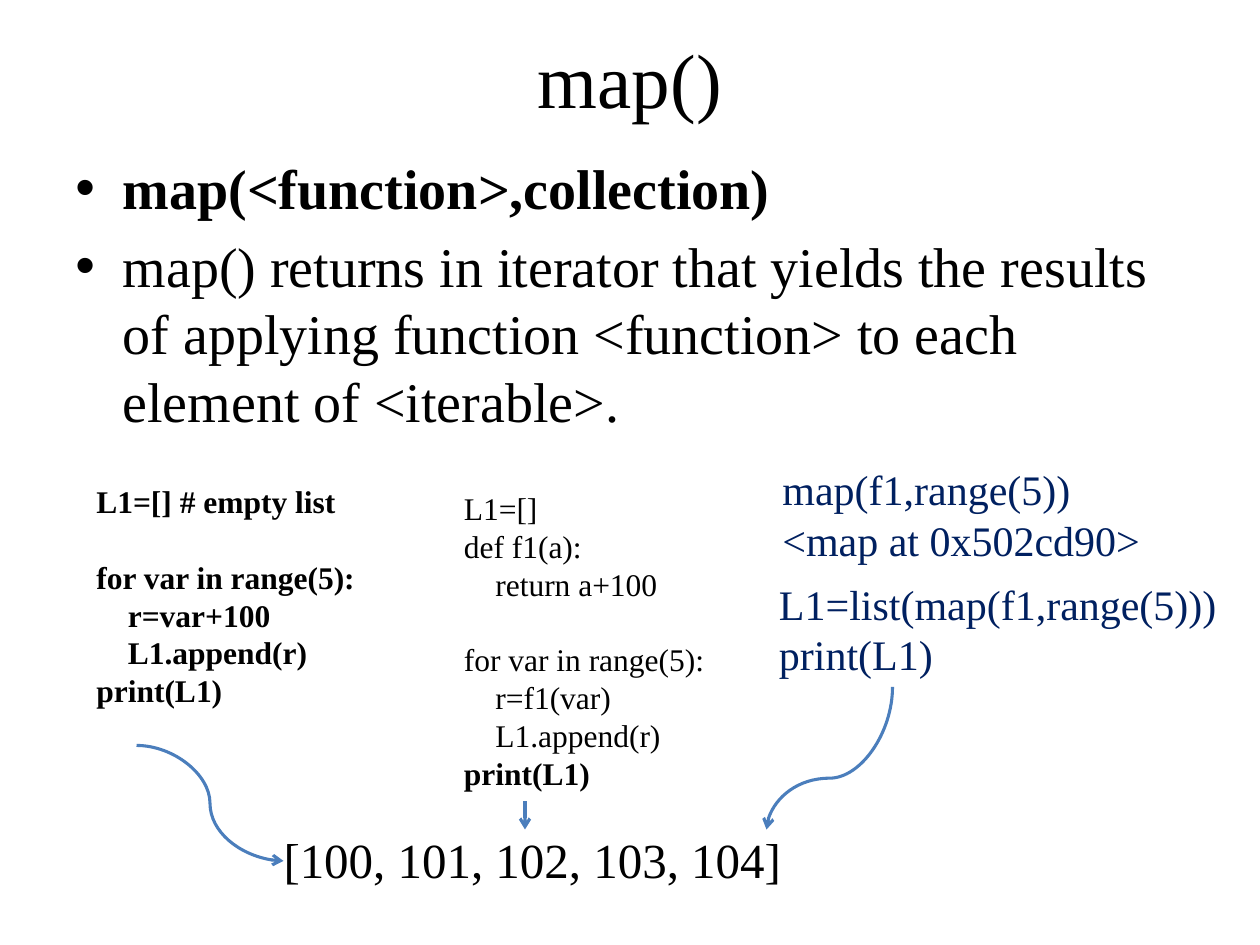
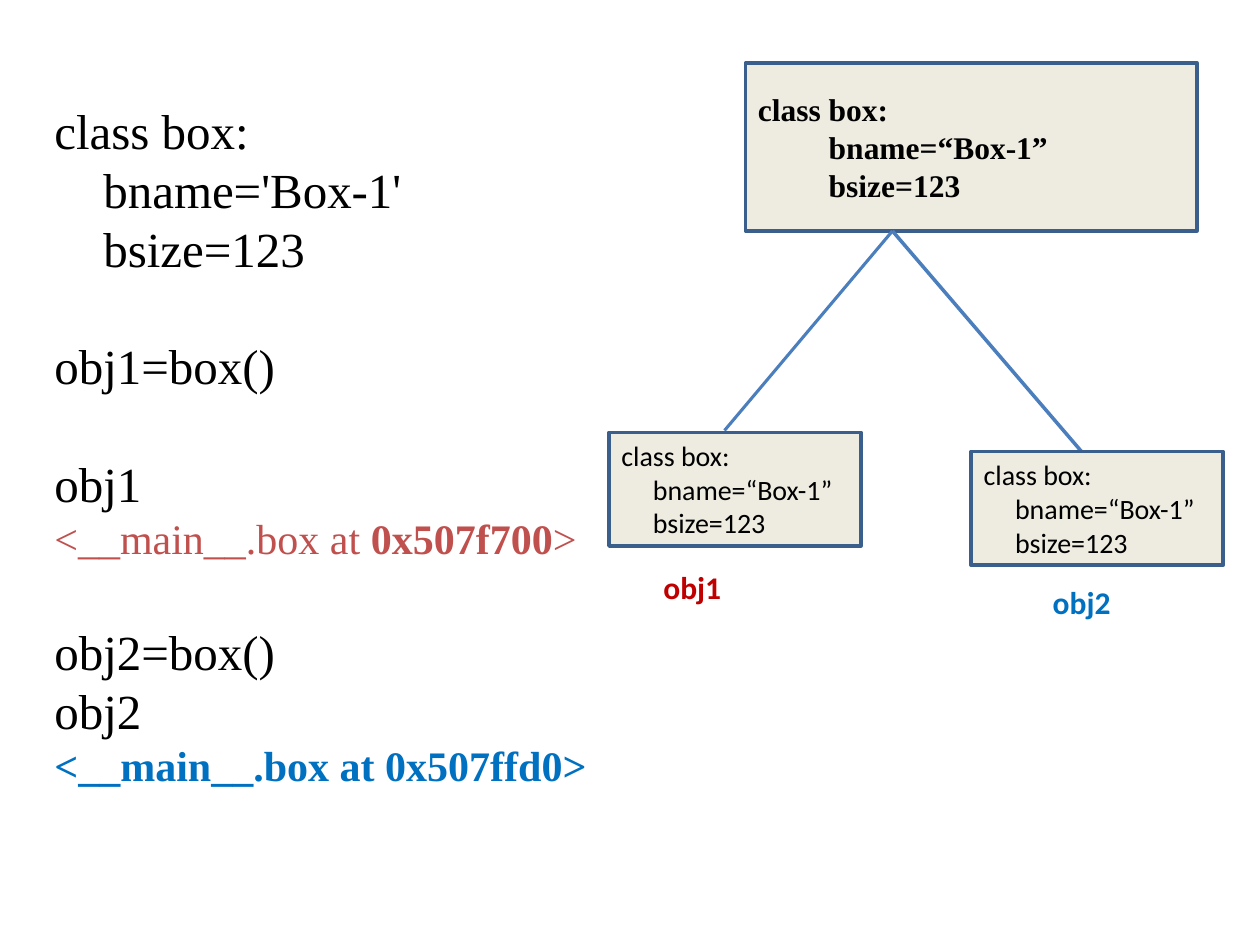
"""Build two slides on map() and on classes with their objects."""
from dataclasses import dataclass, replace

from lxml import etree
from pptx import Presentation
from pptx.dml.color import RGBColor
from pptx.enum.shapes import MSO_CONNECTOR, MSO_SHAPE
from pptx.enum.text import MSO_ANCHOR, PP_ALIGN
from pptx.oxml.ns import qn
from pptx.util import Pt

STRAIGHT, CURVE = MSO_CONNECTOR.STRAIGHT, MSO_CONNECTOR.CURVE
RECTANGLE = MSO_SHAPE.RECTANGLE
MIDDLE = MSO_ANCHOR.MIDDLE
LEFT, CENTER = PP_ALIGN.LEFT, PP_ALIGN.CENTER
TITLE_ONLY, BLANK = 5, 6
SERIF, SANS = "Times New Roman", "Calibri"
LINE_HEIGHT = 1.2
COLORS = {
    "text": "000000",
    "navy": "002060",
    "arrow": "4B7EBC",
    "outline": "3A5F8C",
    "panel": "EEECE1",
    "address": "C0504D",
    "first": "C00000",
    "second": "0070C0",
}


@dataclass(frozen=True)
class Style:
    """Describe the look of a line of text."""
    size: float
    color: str = "text"
    bold: bool = False
    font: str = SERIF


@dataclass
class Line:
    """Hold one line of text; gap is the space above it."""
    text: str
    style: Style = None
    indent: float = 0
    gap: float = 0
    emphasis: str = ""


def color(name):
    """Look up a named colour."""
    return RGBColor.from_string(COLORS[name])


def format_span(span, style):
    """Apply a style to a run."""
    span.font.name = style.font
    span.font.size = Pt(style.size)
    span.font.bold = style.bold
    span.font.color.rgb = color(style.color)


def write_lines(frame, lines, style):
    """Fill a text frame with one paragraph a line."""
    for number, line in enumerate(lines):
        para = frame.paragraphs[0] if number == 0 else frame.add_paragraph()
        para.alignment = LEFT
        para.space_before = Pt(line.gap)
        if line.indent:
            para._p.get_or_add_pPr().set("marL", str(Pt(line.indent)))
        look = line.style or style
        parts = line.text.partition(line.emphasis) if line.emphasis else [line.text]
        for part in parts:
            span = para.add_run()
            span.text = part
            format_span(span, replace(look, bold=look.bold or part == line.emphasis))


def add_title(page, text):
    """Place and format the title placeholder."""
    title = page.shapes.title
    title.left, title.top, title.width, title.height = Pt(36), Pt(-0.72), Pt(648), Pt(90)
    frame = title.text_frame
    frame.text = text
    frame.vertical_anchor = MIDDLE
    frame.paragraphs[0].alignment = CENTER
    format_span(frame.paragraphs[0].runs[0], Style(44))


def add_text(page, left, top, width, height, lines, style, wrap=True):
    """Add a text box and return its frame."""
    box = page.shapes.add_textbox(Pt(left), Pt(top), Pt(width), Pt(height))
    box.text_frame.word_wrap = wrap
    write_lines(box.text_frame, lines, style)
    return box.text_frame


def add_bullets(frame, hang):
    """Give each paragraph of a frame a hanging bullet."""
    for para in frame.paragraphs:
        properties = para._p.get_or_add_pPr()
        properties.set("marL", str(Pt(hang)))
        properties.set("indent", str(-Pt(hang)))
        etree.SubElement(properties, qn("a:buFont"), typeface="Arial")
        etree.SubElement(properties, qn("a:buChar"), char="•")


def add_panel(page, left, top, width, height, style, indent):
    """Add a filled rectangle that shows the class body."""
    panel = page.shapes.add_shape(RECTANGLE, Pt(left), Pt(top), Pt(width), Pt(height))
    panel.shadow.inherit = False
    panel.fill.solid()
    panel.fill.fore_color.rgb = color("panel")
    panel.line.color.rgb = color("outline")
    panel.line.width = Pt(2)
    panel.text_frame.word_wrap = True
    panel.text_frame.vertical_anchor = MIDDLE
    lines = [Line("class box:"), Line("bname=“Box-1”", indent=indent),
             Line("bsize=123", indent=indent)]
    write_lines(panel.text_frame, lines, style)


def add_line(page, start, end, kind=STRAIGHT, weight=1.75, arrow=False):
    """Add a connector, with an arrowhead at its end if asked."""
    line = page.shapes.add_connector(kind, *map(Pt, start + end))
    line.line.color.rgb = color("arrow")
    line.line.width = Pt(weight)
    if arrow:
        etree.SubElement(line.line._get_or_add_ln(), qn("a:tailEnd"), type="arrow")
    etree.SubElement(line._element.spPr, qn("a:effectLst"))
    return line


def bend_down(line, share):
    """Turn a curved connector a quarter and set where it bends."""
    line._element.spPr.find(qn("a:xfrm")).set("rot", "5400000")
    geometry = line._element.spPr.find(qn("a:prstGeom"))
    guides = geometry.find(qn("a:avLst"))
    if guides is None:
        guides = etree.SubElement(geometry, qn("a:avLst"))
    etree.SubElement(guides, qn("a:gd"), name="adj1", fmla=f"val {round(share * 100000)}")


def build_map_page(deck):
    """Compare two loops with map()."""
    page = deck.slides.add_slide(deck.slide_layouts[TITLE_ONLY])
    add_title(page, "map()")
    code, call = Style(18), Style(24, "navy")
    bold_code = replace(code, bold=True)
    blank = code.size * LINE_HEIGHT

    body = add_text(page, 36, 84, 648, 374.4, [
        Line("map(<function>,collection)", Style(32, bold=True), gap=6.4),
        Line("map() returns in iterator that yields the results of applying "
             "function <function> to each element of <iterable>.", gap=6.4),
    ], Style(32))
    add_bullets(body, 27)

    add_text(page, 48, 272, 360, 138, [
        Line("L1=[] # empty list"),
        Line("for var in range(5):", gap=blank),
        Line("r=var+100", indent=18),
        Line("L1.append(r)", indent=18),
        Line("print(L1)"),
    ], bold_code)
    add_text(page, 258, 276, 360, 181.5, [
        Line("L1=[]"),
        Line("def f1(a):"),
        Line("return a+100", indent=18),
        Line("for var in range(5):", gap=blank),
        Line("r=f1(var)", indent=18),
        Line("L1.append(r)", indent=18),
        Line("print(L1)", bold_code),
    ], code)
    add_text(page, 440, 261.5, 276, 65.5,
             [Line("map(f1,range(5))"), Line("<map at 0x502cd90>")], call)
    add_text(page, 438, 327, 270, 65.5,
             [Line("L1=list(map(f1,range(5)))"), Line("print(L1)")], call)

    result = add_text(page, 162, 474, 558, 34,
                      [Line("[100, 101, 102, 103, 104]")], Style(28))
    result.margin_left = result.margin_right = 0
    result.margin_top = result.margin_bottom = 0

    add_line(page, (78, 426), (162, 492), CURVE, arrow=True)
    bend_down(add_line(page, (433.25, 397.25), (514.75, 469.25), CURVE, arrow=True), 0.64)
    add_line(page, (300, 458), (300, 474), arrow=True)


def build_class_page(deck):
    """Show a class and the two objects made from it."""
    page = deck.slides.add_slide(deck.slide_layouts[BLANK])
    code = Style(28)
    blank = code.size * LINE_HEIGHT
    add_text(page, 24, 54, 360, 438.5, [
        Line("class box:"),
        Line("bname='Box-1'", indent=28),
        Line("bsize=123", indent=28),
        Line("obj1=box()", gap=blank),
        Line("obj1", gap=blank),
        Line("<__main__.box at 0x507f700>", Style(24, "address"), emphasis="0x507f700"),
        Line("obj2=box()", gap=blank),
        Line("obj2"),
        Line("<__main__.box at 0x507ffd0>", Style(24, "second", True)),
    ], code)

    add_panel(page, 426, 36, 258, 96, Style(18, bold=True), 40.5)
    fork = (510, 132)
    add_line(page, fork, (414, 246))
    add_line(page, fork, (618, 258), weight=2)
    for left, top in ((348, 247), (555, 258)):
        add_panel(page, left, top, 144, 65, Style(16, font=SANS), 18)
    for name, shade, left, top in (("obj1", "first", 372, 321), ("obj2", "second", 594.5, 329.5)):
        add_text(page, left, top, 47.5, 29, [Line(name)],
                 Style(18, shade, True, SANS), wrap=False)


def main():
    """Build and save the deck."""
    deck = Presentation()
    deck.slide_width, deck.slide_height = Pt(720), Pt(540)
    build_map_page(deck)
    build_class_page(deck)
    deck.save("out.pptx")


if __name__ == "__main__":
    main()
